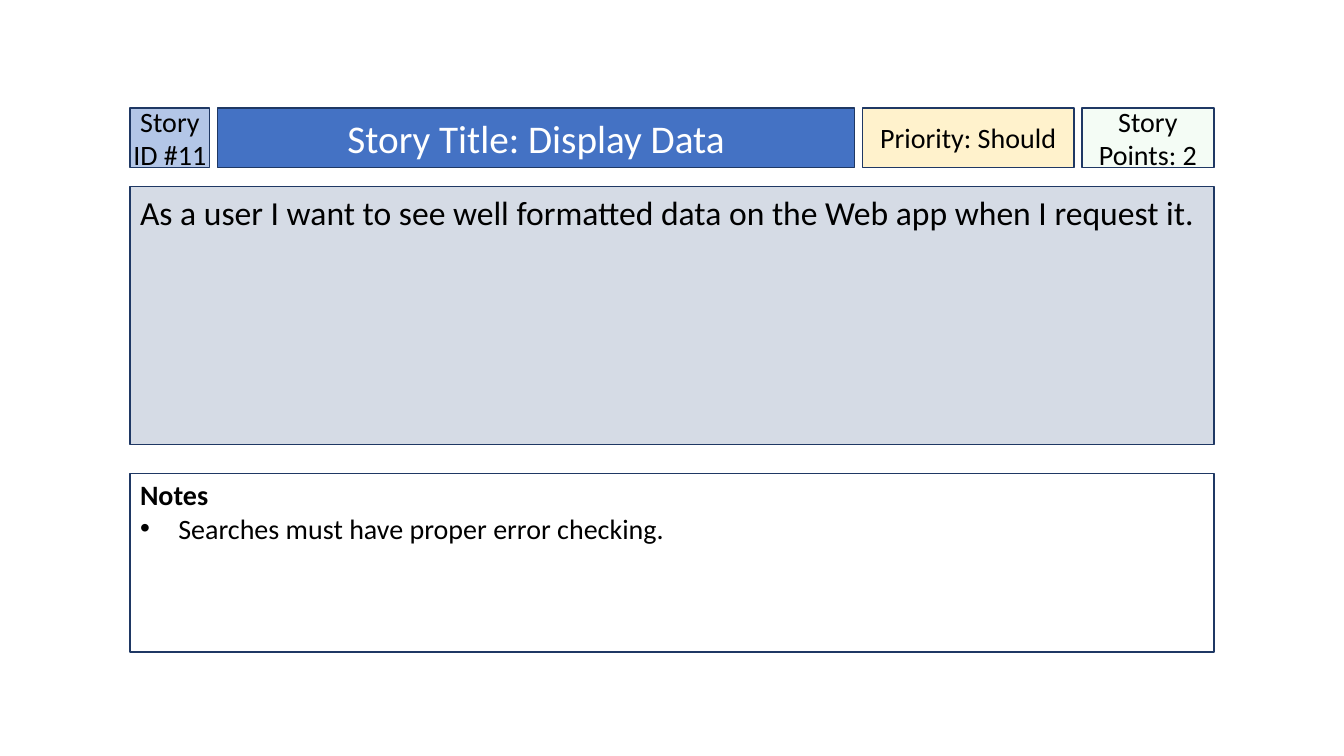
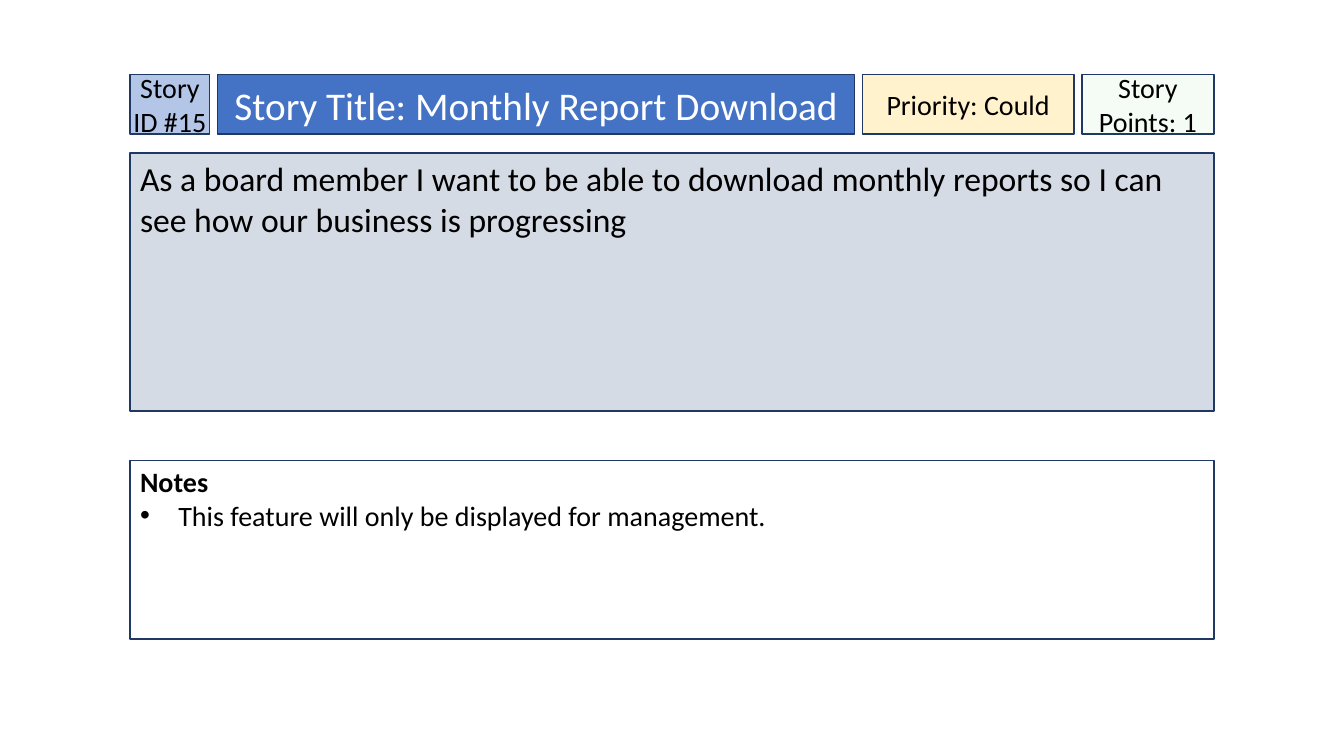
from dataclasses import dataclass

from lxml.etree import SubElement
from pptx import Presentation
from pptx.dml.color import RGBColor
from pptx.enum.shapes import MSO_SHAPE
from pptx.enum.text import MSO_ANCHOR as Anchor, MSO_AUTO_SIZE as AutoSize, PP_ALIGN as Align
from pptx.oxml.ns import qn
from pptx.util import Inches, Pt

# The slide is a grid of 1333 columns by 750 rows.
COLUMNS, ROWS = 1333, 750
CELL = Inches(0.01)

FONT = "Calibri"
BLACK = RGBColor(0x00, 0x00, 0x00)
WHITE = RGBColor(0xFF, 0xFF, 0xFF)
NAVY = RGBColor(0x1F, 0x38, 0x64)
BLUE = RGBColor(0x44, 0x72, 0xC4)
PALE_BLUE = RGBColor(0xB3, 0xC6, 0xE7)
GREY = RGBColor(0xD5, 0xDB, 0xE5)
CREAM = RGBColor(0xFF, 0xF2, 0xCC)
GREEN = RGBColor(0xCC, 0xF0, 0xCD)

CARD_LEFT, CARD_WIDTH = 129, 1075
HEADER_WIDTHS = (79, 632, 210, 131)
HEADER_HEIGHT, WISH_HEIGHT, REMARKS_HEIGHT = 59, 256, 177
HEADER_GAP = 19
INSET = 10
BULLET_INDENT = 38


@dataclass
class Box:
    """A rectangle in grid columns and rows."""
    left: float
    top: float
    width: float
    height: float

    def place(self, shape):
        """Move a shape onto this rectangle."""
        shape.left, shape.top, shape.width, shape.height = (
            int(length * CELL) for length in (self.left, self.top, self.width, self.height))


@dataclass
class Story:
    """The contents of one story card and the rows where it varies."""
    number: int
    title: str
    priority: str
    points: int
    wish: str
    remark: str
    top: int
    wish_gap: int


def add_text(paragraph, text, size=20, color=BLACK, bold=False, align=Align.LEFT):
    """Add one formatted run to a paragraph."""
    paragraph.alignment = align
    run = paragraph.add_run()
    run.text = text
    run.font.name, run.font.size, run.font.bold = FONT, Pt(size), bold
    run.font.color.rgb = color


def style_panel(shape, box, fill, anchor=Anchor.TOP, inset=INSET, inset_top=5):
    """Place and outline a panel, and return its text frame."""
    box.place(shape)
    shape.fill.solid()
    shape.fill.fore_color.rgb = fill
    shape.line.color.rgb = NAVY
    shape.line.width = Pt(1)
    frame = shape.text_frame
    frame.word_wrap, frame.auto_size = True, AutoSize.NONE
    frame.vertical_anchor = anchor
    frame.margin_left = frame.margin_right = inset * CELL
    frame.margin_top, frame.margin_bottom = inset_top * CELL, 5 * CELL
    return frame


def add_panel(slide):
    """Add a plain rectangle without a shadow."""
    shape = slide.shapes.add_shape(MSO_SHAPE.RECTANGLE, 0, 0, CELL, CELL)
    shape.shadow.inherit = False
    return shape


def set_opacity(shape, percent):
    """Make the solid fill of a shape partly transparent."""
    color = shape.element.spPr.find(qn("a:solidFill"))[0]
    SubElement(color, qn("a:alpha"), val=str(percent * 1000))


def add_bullet(paragraph):
    """Give a paragraph a bullet with a hanging indent."""
    properties = paragraph._p.get_or_add_pPr()
    properties.set("marL", str(BULLET_INDENT * CELL))
    properties.set("indent", str(-BULLET_INDENT * CELL))
    SubElement(properties, qn("a:buFont"), typeface="Arial")
    SubElement(properties, qn("a:buChar"), char="•")


def add_header(slide, box, story):
    """Fill the header row with story number, title, priority and points."""
    gap = (box.width - sum(HEADER_WIDTHS)) / (len(HEADER_WIDTHS) - 1)
    title, number, priority, points = slide.shapes.title, *(add_panel(slide) for _ in range(3))
    cells = (
        (number, f"Story ID #{story.number}", PALE_BLUE, 0, {}),
        (title, f"Story Title: {story.title}", BLUE, INSET, {"size": 28, "color": WHITE}),
        (priority, f"Priority: {story.priority}", CREAM, 0, {}),
        (points, f"Story Points: {story.points}", GREEN, 0, {}),
    )
    left = box.left
    for width, (shape, text, fill, inset, text_format) in zip(HEADER_WIDTHS, cells):
        cell = Box(left, box.top, width, box.height)
        frame = style_panel(shape, cell, fill, Anchor.MIDDLE, inset)
        add_text(frame.paragraphs[0], text, align=Align.CENTER, **text_format)
        left += width + gap
    set_opacity(points, 20)


def add_wish(slide, box, story):
    """Add the panel with the user's wish."""
    frame = style_panel(add_panel(slide), box, GREY)
    add_text(frame.paragraphs[0], story.wish, size=24)


def add_remarks(slide, box, story):
    """Add the panel with the remarks heading and its bullet."""
    frame = style_panel(add_panel(slide), box, WHITE, inset_top=4)
    add_text(frame.paragraphs[0], "Notes", bold=True)
    bullet = frame.add_paragraph()
    add_text(bullet, story.remark)
    add_bullet(bullet)


def add_story_slide(presentation, story):
    """Stack the header, wish and remarks of one story card."""
    slide = presentation.slides.add_slide(presentation.slide_layouts.get_by_name("Title Only"))
    regions = (
        (add_header, HEADER_HEIGHT, HEADER_GAP),
        (add_wish, WISH_HEIGHT, story.wish_gap),
        (add_remarks, REMARKS_HEIGHT, 0),
    )
    top = story.top
    for add_region, height, gap in regions:
        add_region(slide, Box(CARD_LEFT, top, CARD_WIDTH, height), story)
        top += height + gap


STORIES = (
    Story(11, "Display Data", "Should", 2,
          "As a user I want to see well formatted data on the Web app when I request it.",
          "Searches must have proper error checking.", top=107, wish_gap=29),
    Story(15, "Monthly Report Download", "Could", 1,
          "As a board member I want to be able to download monthly reports "
          "so I can see how our business is progressing",
          "This feature will only be displayed for management.", top=74, wish_gap=49),
)

presentation = Presentation()
presentation.slide_width, presentation.slide_height = COLUMNS * CELL, ROWS * CELL
for story in STORIES:
    add_story_slide(presentation, story)
presentation.save("out.pptx")
